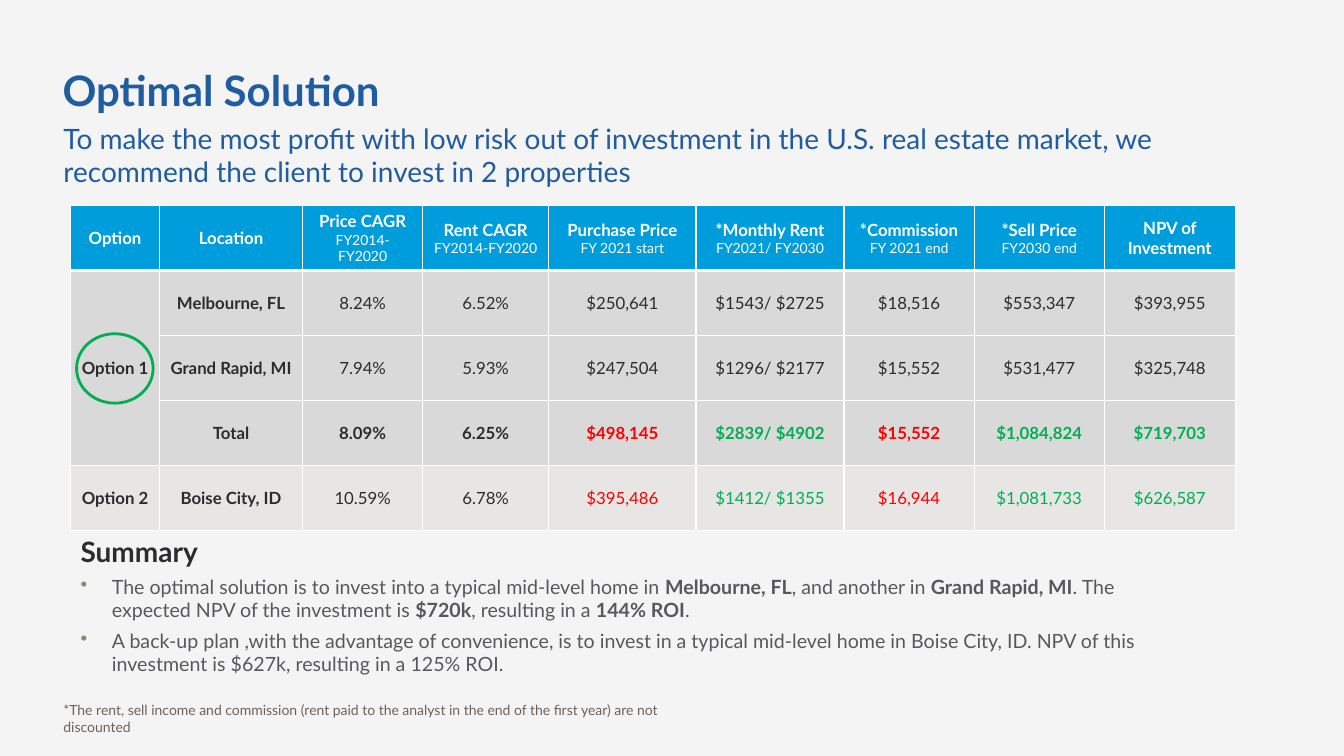
from lxml import etree
from pptx import Presentation
from pptx.dml.color import RGBColor
from pptx.enum.shapes import MSO_SHAPE
from pptx.enum.text import MSO_ANCHOR, PP_ALIGN
from pptx.oxml import parse_xml
from pptx.oxml.ns import nsdecls, qn
from pptx.util import Cm, Pt

BACKGROUND = RGBColor(0xF4, 0xF4, 0xF4)
NAVY = RGBColor(0x20, 0x5C, 0xA0)
HEADER_BLUE = RGBColor(0x00, 0x9D, 0xDC)
WHITE = RGBColor(0xFF, 0xFF, 0xFF)
INK = RGBColor(0x2C, 0x2B, 0x2E)
BODY_GREY = RGBColor(0x59, 0x57, 0x5C)
NOTE_GREY = RGBColor(0x6A, 0x62, 0x5B)
BULLET_GREY = RGBColor(0x8D, 0x83, 0x7B)
OPTION_1_FILL = RGBColor(0xD9, 0xD9, 0xD9)
OPTION_2_FILL = RGBColor(0xE8, 0xE6, 0xE5)
RED = RGBColor(0xFF, 0x00, 0x00)
GREEN = RGBColor(0x00, 0xB0, 0x50)

TOP, MIDDLE, BOTTOM = MSO_ANCHOR.TOP, MSO_ANCHOR.MIDDLE, MSO_ANCHOR.BOTTOM
CENTER = PP_ALIGN.CENTER
OVAL = MSO_SHAPE.OVAL

TITLE = {"size": Pt(30), "bold": True, "color": NAVY}
SUBTITLE = {"size": Pt(20), "color": NAVY}
HEADING = {"size": Pt(20), "bold": True, "color": INK}
BODY = {"size": Pt(14), "color": BODY_GREY}
STRONG = {**BODY, "bold": True}
NOTE = {"size": Pt(10), "color": NOTE_GREY}
HEADER = {"size": Pt(12), "bold": True, "color": WHITE}
PERIOD = {"size": Pt(10), "bold": False, "color": WHITE}

COLUMN_WIDTHS = [2.24, 3.61, 3.02, 3.18, 3.71, 3.73, 3.28, 3.28, 3.3]
ROW_HEIGHT = 1.64
HEADERS = [
    ["Option"],
    ["Location"],
    ["Price CAGR", "FY2014-FY2020"],
    ["Rent CAGR", "FY2014-FY2020"],
    ["Purchase Price", "FY 2021 start"],
    ["*Monthly Rent", "FY2021/ FY2030"],
    ["*Commission", "FY 2021 end"],
    ["*Sell Price", "FY2030 end"],
    ["NPV of Investment"],
]
PROPERTIES = [
    ["Option 1", "Melbourne, FL", "8.24%", "6.52%", "$250,641",
     "$1543/ $2725", "$18,516", "$553,347", "$393,955"],
    ["", "Grand Rapid, MI", "7.94%", "5.93%", "$247,504",
     "$1296/ $2177", "$15,552", "$531,477", "$325,748"],
    ["", "Total", "8.09%", "6.25%", "$498,145",
     "$2839/ $4902", "$15,552", "$1,084,824", "$719,703"],
    ["Option 2", "Boise City, ID", "10.59%", "6.78%", "$395,486",
     "$1412/ $1355", "$16,944", "$1,081,733", "$626,587"],
]
CASH_FLOW_COLORS = [INK] * 4 + [RED, GREEN, RED, GREEN, GREEN]
COMPARED_ROWS = ("Total", "Boise City, ID")

SUMMARY = [
    [("The optimal solution is to invest into a typical mid-level home in ", BODY),
     ("Melbourne, FL", STRONG), (", and another in ", BODY),
     ("Grand Rapid, MI", STRONG),
     (". The expected NPV of the investment is ", BODY), ("$720k", STRONG),
     (", resulting in a ", BODY), ("144% ROI", STRONG), (".", BODY)],
    [("A back-up plan ,with the advantage of convenience, is to invest in a "
      "typical mid-level home in Boise City, ID. NPV of this investment is "
      "$627k, resulting in a 125% ROI.", BODY)],
]


class SlideBuilder:
    font_name = "Lato"

    def __init__(self, slide):
        self.slide = slide
        slide.background.fill.solid()
        slide.background.fill.fore_color.rgb = BACKGROUND

    def add_runs(self, paragraph, runs):
        for text, style in runs:
            run = paragraph.add_run()
            run.text = text
            run.font.name = self.font_name
            for key, value in style.items():
                if key == "color":
                    run.font.color.rgb = value
                else:
                    setattr(run.font, key, value)

    def text(self, left, top, width, height, runs, anchor=TOP):
        box = self.slide.shapes.add_textbox(Cm(left), Cm(top), Cm(width), Cm(height))
        frame = box.text_frame
        layout = {"word_wrap": True, "vertical_anchor": anchor, "margin_left": 0,
                  "margin_top": 0, "margin_right": 0, "margin_bottom": 0}
        for key, value in layout.items():
            setattr(frame, key, value)
        self.add_runs(frame.paragraphs[0], runs)
        return frame

    def bullet(self, frame, runs):
        paragraph = frame.add_paragraph()
        properties = paragraph._p.get_or_add_pPr()
        properties.set("marL", str(Cm(0.79)))
        properties.set("indent", str(-Cm(0.79)))
        color = etree.SubElement(properties, qn("a:buClr"))
        etree.SubElement(color, qn("a:srgbClr"), val=str(BULLET_GREY))
        etree.SubElement(properties, qn("a:buChar"), char="•")
        paragraph.space_before = Pt(5)
        self.add_runs(paragraph, runs)

    def cell(self, cell, lines, fill, top_border=1, bottom_border=1):
        """Fill one table cell; lines is a list of (text, style), one a paragraph."""
        borders = {"L": 1, "R": 1, "T": top_border, "B": bottom_border}
        for side, points in borders.items():
            cell._tc.get_or_add_tcPr().append(parse_xml(
                f'<a:ln{side} {nsdecls("a")} w="{Pt(points)}"><a:solidFill>'
                f'<a:srgbClr val="{WHITE}"/></a:solidFill></a:ln{side}>'))
        cell.fill.solid()
        cell.fill.fore_color.rgb = fill
        cell.vertical_anchor = MIDDLE
        for index, line in enumerate(lines):
            frame = cell.text_frame
            paragraph = frame.add_paragraph() if index else frame.paragraphs[0]
            paragraph.alignment = CENTER
            self.add_runs(paragraph, [line])

    def property_table(self, left, top):
        row_count = len(PROPERTIES) + 1
        table = self.slide.shapes.add_table(
            row_count, len(COLUMN_WIDTHS), Cm(left), Cm(top),
            Cm(sum(COLUMN_WIDTHS)), Cm(ROW_HEIGHT * row_count)).table
        table.horz_banding = False
        for column, width in zip(table.columns, COLUMN_WIDTHS):
            column.width = Cm(width)
        for col, header in enumerate(HEADERS):
            self.cell(table.cell(0, col), list(zip(header, (HEADER, PERIOD))),
                      HEADER_BLUE, bottom_border=3)
        for row, values in enumerate(PROPERTIES, start=1):
            location = values[1]
            fill = OPTION_2_FILL if values[0] == "Option 2" else OPTION_1_FILL
            for col, value in enumerate(values):
                compared = location in COMPARED_ROWS
                style = {"size": Pt(12), "bold": col < 2 or location == "Total",
                         "color": CASH_FLOW_COLORS[col] if compared else INK}
                self.cell(table.cell(row, col), [(value, style)] if value else [],
                          fill, top_border=3 if row == 1 else 1)
        table.cell(1, 0).merge(table.cell(3, 0))

    def ring(self, left, top, width, height):
        ring = self.slide.shapes.add_shape(OVAL, Cm(left), Cm(top), Cm(width), Cm(height))
        ring.shadow.inherit = False
        ring.fill.background()
        ring.line.color.rgb = GREEN
        ring.line.width = Pt(2)


def main():
    deck = Presentation()
    deck.slide_width, deck.slide_height = Cm(33.87), Cm(19.05)
    builder = SlideBuilder(deck.slides.add_slide(deck.slide_layouts[6]))

    builder.text(1.6, 18.19, 16.74, 0.33, [(
        "*The rent, sell income and commission (rent paid to the analyst in the "
        "end of the first year) are not discounted", NOTE)], BOTTOM)
    title = builder.text(1.58, 0.18, 30.68, 2.74, [("Optimal Solution", TITLE)], BOTTOM)
    title.paragraphs[0].line_spacing = 0.95
    builder.property_table(1.78, 5.18)
    summary = builder.text(2.03, 13.46, 27.91, 2.54, [("Summary", HEADING)])
    for runs in SUMMARY:
        builder.bullet(summary, runs)
    builder.text(1.6, 3.05, 29.51, 0.94, [(
        "To make the most profit with low risk out of investment in the U.S. real "
        "estate market, we recommend the client to invest in 2 properties", SUBTITLE)])
    builder.ring(1.93, 8.41, 1.93, 1.75)
    deck.save("out.pptx")


if __name__ == "__main__":
    main()
